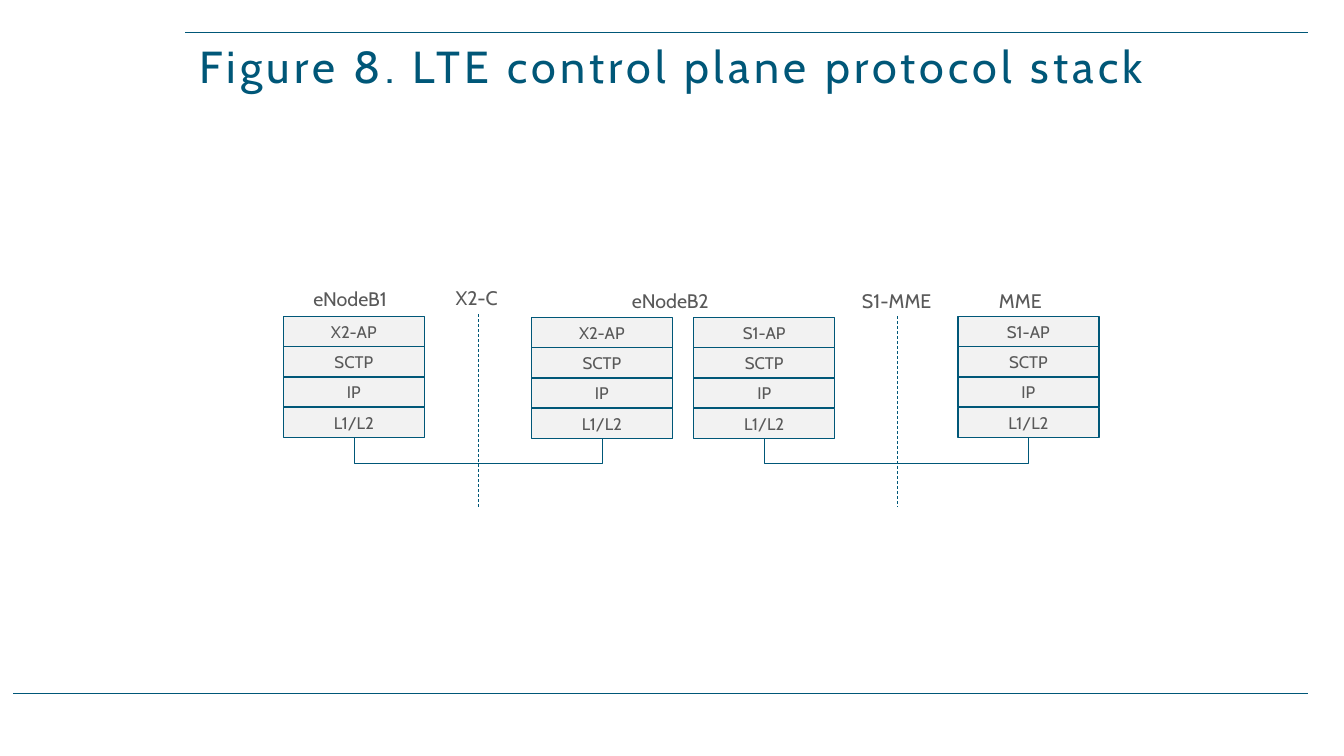
from dataclasses import dataclass

from lxml.etree import SubElement
from pptx import Presentation
from pptx.dml.color import RGBColor
from pptx.enum.dml import MSO_LINE_DASH_STYLE as Dash
from pptx.enum.shapes import MSO_CONNECTOR as ConnectorKind, MSO_SHAPE as ShapeKind
from pptx.enum.text import MSO_ANCHOR as Anchor, MSO_AUTO_SIZE as AutoSize, PP_ALIGN as Align
from pptx.oxml.ns import qn
from pptx.shapes.autoshape import Shape
from pptx.shapes.connector import Connector
from pptx.slide import Slide
from pptx.text.text import TextFrame
from pptx.util import Inches, Pt


@dataclass(frozen=True)
class Theme:
    font: str = "Cabin"
    accent: RGBColor = RGBColor(0x00, 0x57, 0x78)
    text: RGBColor = RGBColor(0x59, 0x59, 0x59)
    layer_fill: RGBColor = RGBColor(0xF2, 0xF2, 0xF2)
    title_size: float = 32
    label_size: float = 14
    layer_size: float = 12
    border: float = 1
    link: float = 0.5


@dataclass(frozen=True)
class Stack:
    left: float
    top: float
    protocol: str


@dataclass(frozen=True)
class Label:
    text: str
    left: float
    top: float
    width: float


@dataclass(frozen=True)
class Line:
    x1: float
    y1: float
    x2: float
    y2: float
    width: float
    dashed: bool = False


THEME = Theme()
LAYER_WIDTH, LAYER_HEIGHT = 1.4, 0.3
LINK_Y = 4.6

STACKS = [
    Stack(2.81, 3.14, "X2-AP"),
    Stack(5.27, 3.15, "X2-AP"),
    Stack(6.88, 3.15, "S1-AP"),
    Stack(9.5, 3.14, "S1-AP"),
]
LABELS = [
    Label("eNodeB1", 3.01, 2.8, 1),
    Label("X2-C", 4.42, 2.79, 0.62),
    Label("eNodeB2", 6.17, 2.82, 1),
    Label("S1-MME", 8.45, 2.82, 0.95),
    Label("MME", 9.81, 2.82, 0.66),
]
RULES = [
    Line(1.84, 0.32, 12.97, 0.32, THEME.border),
    Line(0.13, 6.88, 12.97, 6.88, THEME.border),
]
INTERFACES = [
    Line(4.74, 3.12, 4.74, 5.03, THEME.link, dashed=True),
    Line(8.9, 3.14, 8.9, 5.03, THEME.link, dashed=True),
]


def write(frame: TextFrame, text: str, size: float, color: RGBColor, align: Align) -> None:
    frame.text = text
    paragraph = frame.paragraphs[0]
    paragraph.alignment = align
    font = paragraph.runs[0].font
    font.name = THEME.font
    font.size = Pt(size)
    font.color.rgb = color


def style_connector(connector: Connector, width: float) -> None:
    connector.line.color.rgb = THEME.accent
    connector.line.width = Pt(width)
    SubElement(connector._element.spPr, qn("a:effectLst"))


def draw_line(slide: Slide, line: Line) -> None:
    connector = slide.shapes.add_connector(
        ConnectorKind.STRAIGHT,
        Inches(line.x1), Inches(line.y1), Inches(line.x2), Inches(line.y2),
    )
    if line.dashed:
        connector.line.dash_style = Dash.DASH
    style_connector(connector, line.width)


def draw_title(slide: Slide, text: str) -> None:
    box = slide.shapes.add_textbox(0, Inches(0.36), Inches(13.33), Inches(0.6))
    frame = box.text_frame
    frame.word_wrap = True
    frame.vertical_anchor = Anchor.BOTTOM
    write(frame, text, THEME.title_size, THEME.accent, Align.CENTER)
    paragraph = frame.paragraphs[0]
    paragraph.line_spacing = 0.8
    # Letter spacing of 3 pt, in hundredths
    paragraph.runs[0].font._element.set("spc", "300")


def draw_label(slide: Slide, label: Label) -> None:
    box = slide.shapes.add_textbox(
        Inches(label.left), Inches(label.top), Inches(label.width), Inches(0.34)
    )
    frame = box.text_frame
    frame.word_wrap = False
    frame.auto_size = AutoSize.SHAPE_TO_FIT_TEXT
    write(frame, label.text, THEME.label_size, THEME.text, Align.LEFT)


def draw_stack(slide: Slide, stack: Stack) -> Shape:
    """Draw the four layers and return the lowest one."""
    for row, name in enumerate([stack.protocol, "SCTP", "IP", "L1/L2"]):
        layer = slide.shapes.add_shape(
            ShapeKind.RECTANGLE,
            Inches(stack.left), Inches(stack.top + row * LAYER_HEIGHT),
            Inches(LAYER_WIDTH), Inches(LAYER_HEIGHT),
        )
        layer.shadow.inherit = False
        layer.fill.solid()
        layer.fill.fore_color.rgb = THEME.layer_fill
        layer.line.color.rgb = THEME.accent
        layer.line.width = Pt(THEME.border)
        layer.text_frame.vertical_anchor = Anchor.MIDDLE
        write(layer.text_frame, name, THEME.layer_size, THEME.text, Align.CENTER)
    return layer


def draw_link(slide: Slide, upper: Shape, lower: Shape) -> None:
    """Join two bottom sides with a U-shaped elbow, from the higher side to the lower."""
    x1, x2 = (shape.left + shape.width // 2 for shape in (upper, lower))
    y1, y2 = (shape.top + shape.height for shape in (upper, lower))
    connector = slide.shapes.add_connector(ConnectorKind.ELBOW, x1, y1, x2, y2)
    connector.begin_connect(upper, 2)
    connector.end_connect(lower, 2)

    # The elbow lies on its side, so its frame is turned a quarter
    span, rise = abs(x2 - x1), y2 - y1
    connector.left, connector.top = (x1 + x2 - rise) // 2, (y1 + y2 - span) // 2
    connector.width, connector.height = rise, span
    rightward = x2 > x1
    properties = connector._element.spPr
    frame = properties.find(qn("a:xfrm"))
    frame.set("rot", str((270 if rightward else 90) * 60000))
    frame.set("flipH", "1" if rightward else "0")
    frame.set("flipV", "0")

    # Depth of the U relative to the height difference
    depth = round((Inches(LINK_Y) - y1) / rise * 100000)
    adjustments = properties.find(qn("a:prstGeom")).find(qn("a:avLst"))
    SubElement(adjustments, qn("a:gd"), name="adj1", fmla=f"val {depth}")
    style_connector(connector, THEME.link)


def main() -> None:
    presentation = Presentation()
    presentation.slide_width = Inches(13.33)
    presentation.slide_height = Inches(7.5)
    slide = presentation.slides.add_slide(presentation.slide_layouts[6])

    # Page rules and title
    for rule in RULES:
        draw_line(slide, rule)
    draw_title(slide, "Figure 8. LTE control plane protocol stack")

    # Protocol stacks and the links below them
    enodeb1, enodeb2_x2, enodeb2_s1, mme = [draw_stack(slide, stack) for stack in STACKS]
    draw_link(slide, enodeb1, enodeb2_x2)
    draw_link(slide, mme, enodeb2_s1)

    # Interfaces and labels
    for interface in INTERFACES:
        draw_line(slide, interface)
    for label in LABELS:
        draw_label(slide, label)

    presentation.save("out.pptx")


if __name__ == "__main__":
    main()
